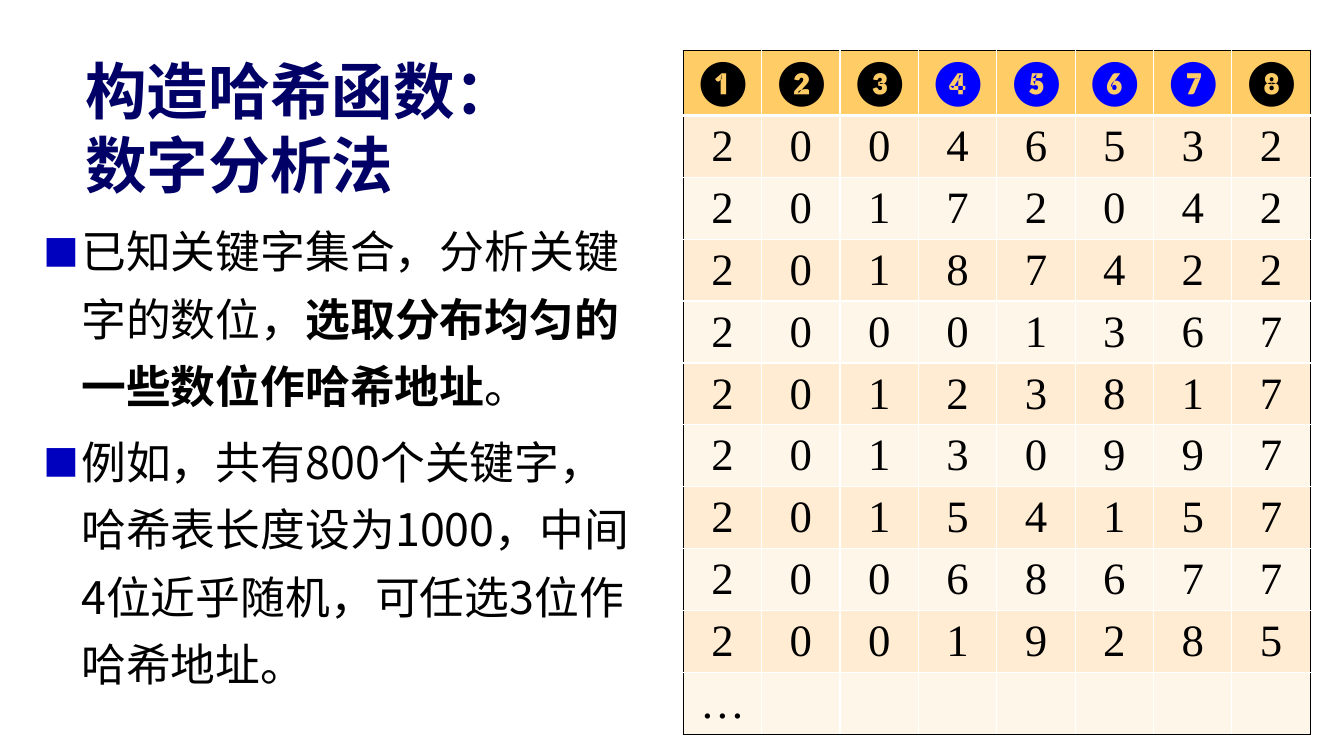
from dataclasses import dataclass

from lxml import etree
from pptx import Presentation
from pptx.dml.color import RGBColor
from pptx.enum.text import MSO_ANCHOR, PP_ALIGN
from pptx.oxml.ns import qn
from pptx.util import Cm, Pt

MIDDLE = MSO_ANCHOR.MIDDLE
TOP = MSO_ANCHOR.TOP
CENTER = PP_ALIGN.CENTER


@dataclass(frozen=True)
class Theme:
    heading: str = "000066"
    ink: str = "000000"
    bullet: str = "0000BF"
    selected: str = "0000FF"
    header_fill: str = "FFCC66"
    bands: tuple = ("FFECD3", "FFF6EA")
    grid: str = "FFFFFF"
    text_font: str = "Noto Sans CJK SC"
    header_font: str = "Calibri"
    digit_font: str = "Times New Roman"
    title_size: float = 44
    body_size: float = 32
    title_leading: float = 52.5
    body_leading: float = 48.1
    paragraph_gap: float = 6
    thin: float = 1
    thick: float = 3


@dataclass(frozen=True)
class Box:
    left: int
    top: int
    width: int
    height: int


THEME = Theme()

TITLE_LINES = ("构造哈希函数：", "数字分析法")
BODY = (
    (
        ("已知关键字集合，分析关键字的数位，", False),
        ("选取分布均匀的一些数位作哈希地址", True),
        ("。", False),
    ),
    (("例如，共有800个关键字，哈希表长度设为1000，中间4位近乎随机，可任选3位作哈希地址。", False),),
)
POSITIONS = "❶❷❸❹❺❻❼❽"
SELECTED = "❹❺❻❼"
KEYS = (
    "20046532", "20172042", "20187422", "20001367", "20123817",
    "20130997", "20154157", "20068677", "20019285", "…",
)


def add_span(para, text, font_name, size, color, bold=False):
    span = para.add_run()
    span.text = text
    font = span.font
    font.name, font.size, font.bold = font_name, Pt(size), bold
    font.color.rgb = RGBColor.from_string(color)
    east_asian = etree.SubElement(span.font._element, qn("a:ea"))
    east_asian.set("typeface", font_name)


def add_text_frame(page, box, anchor):
    frame = page.shapes.add_textbox(box.left, box.top, box.width, box.height).text_frame
    frame.word_wrap = True
    frame.vertical_anchor = anchor
    return frame


def add_title(page, box):
    para = add_text_frame(page, box, MIDDLE).paragraphs[0]
    para.line_spacing = Pt(THEME.title_leading)
    for index, line in enumerate(TITLE_LINES):
        if index:
            para.add_line_break()
        add_span(para, line, THEME.text_font, THEME.title_size, THEME.heading, True)


def set_bullet(para):
    properties = para._p.get_or_add_pPr()
    properties.set("marL", str(Cm(0.95)))
    properties.set("indent", str(-Cm(0.95)))
    color = etree.SubElement(properties, qn("a:buClr"))
    etree.SubElement(color, qn("a:srgbClr")).set("val", THEME.bullet)
    etree.SubElement(properties, qn("a:buSzPct")).set("val", "80000")
    etree.SubElement(properties, qn("a:buFont")).set("typeface", THEME.text_font)
    etree.SubElement(properties, qn("a:buChar")).set("char", "■")


def add_body(page, box):
    frame = add_text_frame(page, box, TOP)
    for index, spans in enumerate(BODY):
        para = frame.add_paragraph() if index else frame.paragraphs[0]
        set_bullet(para)
        para.line_spacing = Pt(THEME.body_leading)
        para.space_before = Pt(THEME.paragraph_gap if index else 0)
        for text, bold in spans:
            add_span(para, text, THEME.text_font, THEME.body_size, THEME.ink, bold)


def set_borders(cell, row, column, last_row, last_column):
    """Draw a dark outer frame, a light grid and a thick rule below the header."""
    sides = (
        ("a:lnL", column == 0, False),
        ("a:lnR", column == last_column, False),
        ("a:lnT", row == 0, row == 1),
        ("a:lnB", row == last_row, row == 0),
    )
    properties = cell._tc.get_or_add_tcPr()
    for tag, outer, under_header in sides:
        line = etree.SubElement(properties, qn(tag))
        line.set("w", str(Pt(THEME.thick if under_header else THEME.thin)))
        fill = etree.SubElement(line, qn("a:solidFill"))
        color = THEME.ink if outer else THEME.grid
        etree.SubElement(fill, qn("a:srgbClr")).set("val", color)


def add_key_table(page, box, header_height):
    rows, columns = len(KEYS) + 1, len(POSITIONS)
    frame = page.shapes.add_table(rows, columns, box.left, box.top, box.width, box.height)
    table = frame.table
    table.first_row = table.horz_banding = False
    for column in table.columns:
        column.width = box.width // columns
    for index, row in enumerate(table.rows):
        row.height = (box.height - header_height) // len(KEYS) if index else header_height

    for r, symbols in enumerate((POSITIONS, *KEYS)):
        for c in range(columns):
            cell = table.cell(r, c)
            cell.vertical_anchor = MIDDLE
            cell.margin_top = cell.margin_bottom = 0
            set_borders(cell, r, c, rows - 1, columns - 1)
            cell.fill.solid()
            fill = THEME.bands[(r - 1) % 2] if r else THEME.header_fill
            cell.fill.fore_color.rgb = RGBColor.from_string(fill)
            if c >= len(symbols):
                continue
            para = cell.text_frame.paragraphs[0]
            para.alignment = CENTER
            font_name = THEME.digit_font if r else THEME.header_font
            color = THEME.selected if symbols[c] in SELECTED else THEME.ink
            add_span(para, symbols[c], font_name, THEME.body_size, color, r == 0)


def main():
    deck = Presentation()
    deck.slide_width, deck.slide_height = Cm(33.87), Cm(19.05)
    page = deck.slides.add_slide(deck.slide_layouts[6])
    add_title(page, Box(Cm(1.9), Cm(2.25), Cm(17.15), Cm(1.9)))
    add_body(page, Box(Cm(0.85), Cm(5.18), Cm(15.6), Cm(13.34)))
    add_key_table(page, Box(Cm(17.22), Cm(1.27), Cm(15.8), Cm(17.24)), Cm(1.64))
    deck.save("out.pptx")


if __name__ == "__main__":
    main()
